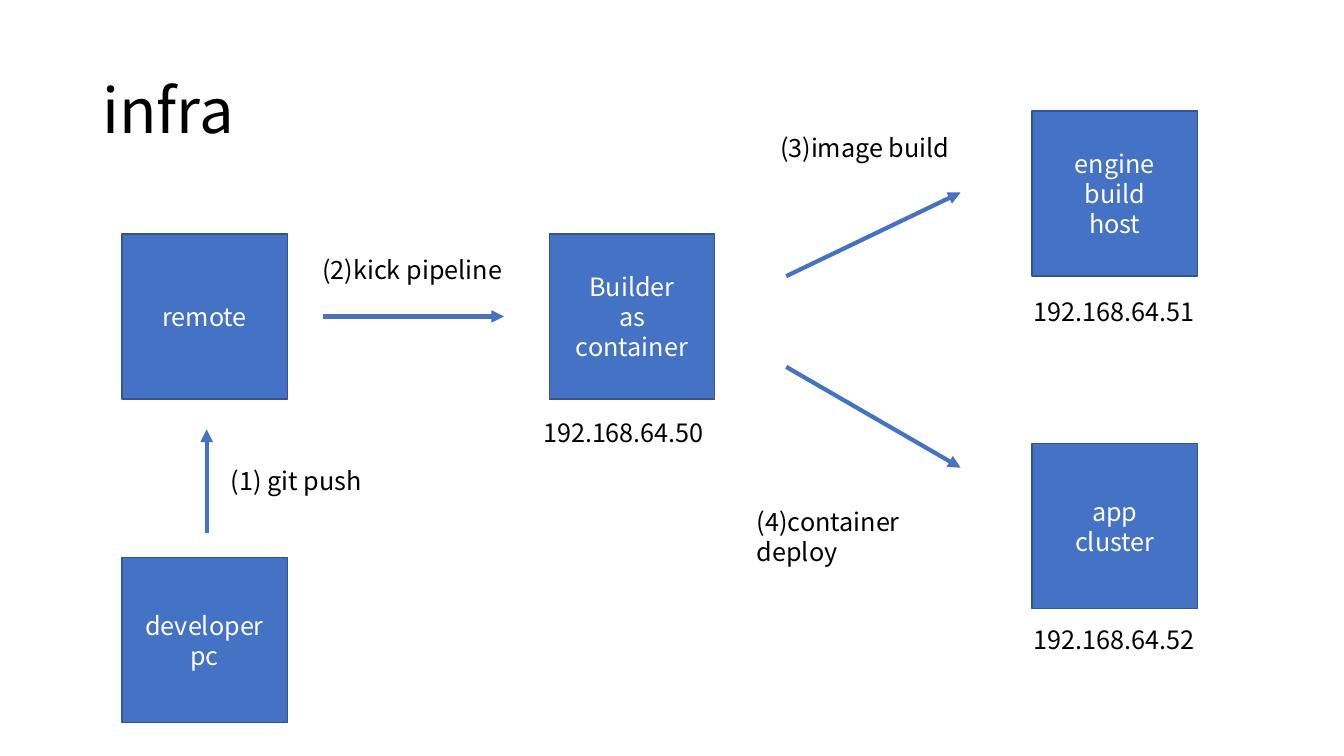
from dataclasses import dataclass

from lxml import etree
from pptx import Presentation
from pptx import util as u
from pptx.dml.color import RGBColor
from pptx.enum import shapes, text
from pptx.oxml import ns

COLUMNS, ROWS = 80, 45
CELL = u.Inches(1) / 6
NODE_SIDE = 9.84
LABEL_HEIGHT = 2.4
LEFT, MIDDLE, RIGHT = 7.26, 32.7, 61.44
UPPER, CENTRE, LOWER, BOTTOM = 6.6, 13.92, 26.4, 33.18


@dataclass(frozen=True)
class Theme:
    """Colours, font and sizes of the diagram."""
    node: RGBColor = RGBColor.from_string("4472C4")
    border: RGBColor = RGBColor.from_string("325491")
    ink: RGBColor = RGBColor.from_string("000000")
    paper: RGBColor = RGBColor.from_string("FFFFFF")
    font: str = "Noto Sans CJK JP"
    title_size: int = 44
    body_size: int = 18
    border_width: int = 1
    arrow_width: int = 3


THEME = Theme()


def cells(*counts):
    """Convert grid cells to slide lengths."""
    return [u.Emu(round(count * CELL)) for count in counts]


def write(paragraph, wording, size, color):
    """Add one styled run to a paragraph."""
    run = paragraph.add_run()
    run.text = wording
    run.font.name = THEME.font
    run.font.size = u.Pt(size)
    run.font.color.rgb = color


def add_title(slide, wording):
    """Place the slide title."""
    title = slide.shapes.add_textbox(*cells(5.5, 2.4, 69, 8.7))
    frame = title.text_frame
    frame.word_wrap = True
    frame.vertical_anchor = text.MSO_ANCHOR.MIDDLE
    frame.paragraphs[0].line_spacing = 0.9
    write(frame.paragraphs[0], wording, THEME.title_size, THEME.ink)


def add_node(slide, column, row, lines):
    """Draw a square machine with one centred paragraph per line."""
    node = slide.shapes.add_shape(
        shapes.MSO_SHAPE.RECTANGLE, *cells(column, row, NODE_SIDE, NODE_SIDE))
    node.shadow.inherit = False
    node.fill.solid()
    node.fill.fore_color.rgb = THEME.node
    node.line.color.rgb = THEME.border
    node.line.width = u.Pt(THEME.border_width)
    frame = node.text_frame
    frame.word_wrap = True
    frame.vertical_anchor = text.MSO_ANCHOR.MIDDLE
    for index, line in enumerate(lines):
        paragraph = frame.add_paragraph() if index else frame.paragraphs[0]
        paragraph.alignment = text.PP_ALIGN.CENTER
        write(paragraph, line, THEME.body_size, THEME.paper)


def add_label(slide, column, row, width, wording, wrap=False):
    """Place a step caption or an address."""
    label = slide.shapes.add_textbox(*cells(column, row, width, LABEL_HEIGHT))
    frame = label.text_frame
    frame.word_wrap = wrap
    frame.auto_size = text.MSO_AUTO_SIZE.SHAPE_TO_FIT_TEXT
    write(frame.paragraphs[0], wording, THEME.body_size, THEME.ink)


def add_arrow(slide, *ends):
    """Draw a straight arrow from the first point to the second."""
    arrow = slide.shapes.add_connector(
        shapes.MSO_CONNECTOR.STRAIGHT, *cells(*ends))
    arrow.line.color.rgb = THEME.node
    arrow.line.width = u.Pt(THEME.arrow_width)
    head = etree.SubElement(arrow.line._get_or_add_ln(), ns.qn("a:tailEnd"))
    head.set("type", "triangle")
    etree.SubElement(arrow._element.spPr, ns.qn("a:effectLst"))


def main():
    """Build the infrastructure slide."""
    deck = Presentation()
    deck.slide_width, deck.slide_height = cells(COLUMNS, ROWS)
    slide = deck.slides.add_slide(deck.slide_layouts[6])
    add_title(slide, "infra")

    for column, row, lines in (
        (MIDDLE, CENTRE, ("Builder", "as", "container")),
        (RIGHT, UPPER, ("engine", "build", "host")),
        (RIGHT, LOWER, ("app", "cluster")),
        (LEFT, CENTRE, ("remote",)),
        (LEFT, BOTTOM, ("developer", "pc")),
    ):
        add_node(slide, column, row, lines)

    pipeline_row = CENTRE + NODE_SIDE / 2
    for ends in (
        (46.8, 16.44, 57.18, 11.46),
        (46.8, 21.84, 57.18, 27.84),
        (19.2, pipeline_row, 30, pipeline_row),
        (12.3, 31.74, 12.3, 25.56),
    ):
        add_arrow(slide, *ends)

    for column, row, width, step in (
        (13.14, 27.42, 9.3, "(1) git push"),
        (18.6, 14.82, 12, "(2)kick pipeline"),
        (45.84, 7.56, 11.34, "(3)image build"),
    ):
        add_label(slide, column, row, width, step)
    add_label(slide, 44.46, 29.82, 14.4, "(4)container deploy", wrap=True)

    for column, row, address in (
        (31.74, 24.54, "192.168.64.50"),
        (60.96, 17.34, "192.168.64.51"),
        (60.96, 36.84, "192.168.64.52"),
    ):
        add_label(slide, column, row, 10.8, address)

    deck.save("out.pptx")


if __name__ == "__main__":
    main()
